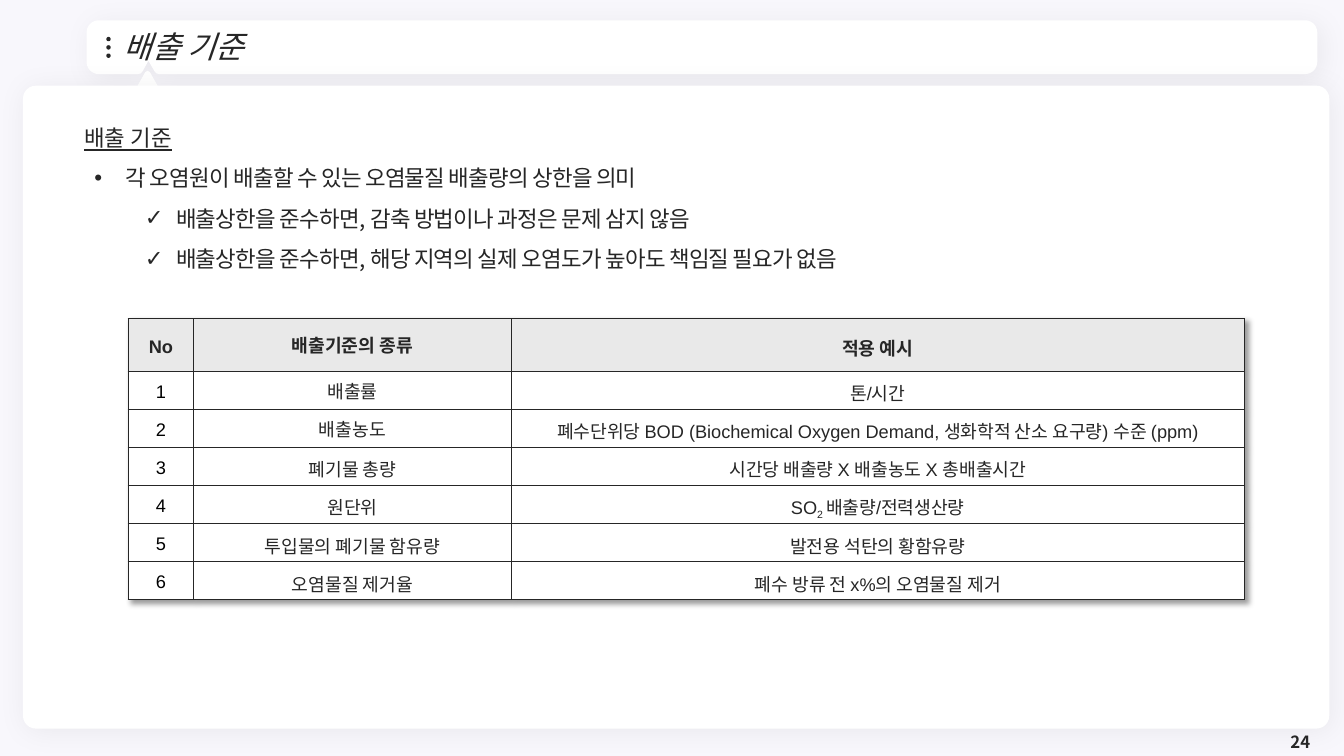
from math import cos, radians, sin

from lxml.etree import SubElement
from pptx import Presentation
from pptx.dml.color import RGBColor
from pptx.enum.shapes import MSO_SHAPE
from pptx.enum.text import MSO_ANCHOR, PP_ALIGN
from pptx.oxml.ns import qn
from pptx.util import Cm, Pt

INK = RGBColor(0x26, 0x26, 0x26)
BLACK = RGBColor(0, 0, 0)
WHITE = RGBColor(0xFF, 0xFF, 0xFF)
HEADER_GREY = RGBColor(0xE9, 0xE9, 0xE9)
BACKDROP = RGBColor(0xF8, 0xF7, 0xFC)
KOREAN = "Noto Sans CJK KR"
LATIN = "Arial"

BULLETS = [
    ("•", 0, "각 오염원이 배출할 수 있는 오염물질 배출량의 상한을 의미"),
    ("✓", 1, "배출상한을 준수하면, 감축 방법이나 과정은 문제 삼지 않음"),
    ("✓", 1, "배출상한을 준수하면, 해당 지역의 실제 오염도가 높아도 책임질 필요가 없음"),
]
# Every second piece of a tuple is set as a subscript
STANDARDS = [
    ("No", "배출기준의 종류", "적용 예시"),
    ("1", "배출률", "톤/시간"),
    ("2", "배출농도", "폐수단위당 BOD (Biochemical Oxygen Demand, 생화학적 산소 요구량) 수준 (ppm)"),
    ("3", "폐기물 총량", "시간당 배출량 X 배출농도 X 총배출시간"),
    ("4", "원단위", ("SO", "2 ", "배출량/전력생산량")),
    ("5", "투입물의 폐기물 함유량", "발전용 석탄의 황함유량"),
    ("6", "오염물질 제거율", "폐수 방류 전 x%의 오염물질 제거"),
]


def add_shadow(effects, blur, distance, opacity):
    shadow = SubElement(effects, qn("a:outerShdw"), blurRad=str(Pt(blur)),
                        dist=str(Pt(distance)), dir="2700000", algn="tl", rotWithShape="0")
    color = SubElement(shadow, qn("a:srgbClr"), val=str(BLACK))
    SubElement(color, qn("a:alpha"), val=str(opacity * 1000))


class StandardsSlide:
    def __init__(self, deck):
        self.slide = deck.slides.add_slide(deck.slide_layouts[5])
        self.shapes = self.slide.shapes
        fill = self.slide.background.fill
        fill.solid()
        fill.fore_color.rgb = BACKDROP

    def style_text(self, paragraph, size, color=INK, font=KOREAN, spacing=None, tracking=None, **flags):
        if spacing:
            paragraph.line_spacing = spacing
        paragraph.font.size = Pt(size)
        paragraph.font.color.rgb = color
        paragraph.font.name = font
        for flag, value in flags.items():
            setattr(paragraph.font, flag, value)
        properties = paragraph._p.pPr.find(qn("a:defRPr"))
        SubElement(properties, qn("a:ea"), typeface=KOREAN)
        if tracking:
            properties.set("spc", str(int(tracking * 100)))

    def paint(self, shape, color, outline=None, shadow=False):
        shape.shadow.inherit = False
        shape.fill.solid()
        shape.fill.fore_color.rgb = color
        if outline:
            shape.line.color.rgb = color
            shape.line.width = Pt(outline)
        else:
            shape.line.fill.background()
        if shadow:
            add_shadow(shape.element.spPr.find(qn("a:effectLst")), 20, 3, 5)

    def preset(self, kind, left, top, width, height, color, **look):
        shape = self.shapes.add_shape(kind, Cm(left), Cm(top), Cm(width), Cm(height))
        self.paint(shape, color, **look)
        return shape

    def title_bar(self, left, top, right, bottom, radius, notch):
        corners = [(right - radius, top + radius, 270), (right - radius, bottom - radius, 0),
                   (left + radius, bottom - radius, 90), (left + radius, top + radius, 180)]
        arcs = [[(x + radius * cos(radians(start + turn)), y + radius * sin(radians(start + turn)))
                 for turn in range(0, 91, 15)] for x, y, start in corners]
        outline = arcs[0] + arcs[1] + notch + arcs[2] + arcs[3]
        points = [(Cm(x), Cm(y)) for x, y in outline]
        builder = self.shapes.build_freeform(*points[0])
        builder.add_line_segments(points[1:], close=True)
        self.paint(builder.convert_to_shape(), WHITE, outline=7.25, shadow=True)

    def title(self, text, left, top, width, height):
        title = self.shapes.title
        title.left, title.top, title.width, title.height = Cm(left), Cm(top), Cm(width), Cm(height)
        title.text_frame.text = text
        title.text_frame.vertical_anchor = MSO_ANCHOR.MIDDLE
        paragraph = title.text_frame.paragraphs[0]
        paragraph.alignment = PP_ALIGN.LEFT
        self.style_text(paragraph, 22, spacing=0.9, italic=True)
        self.shapes.element.append(title.element)  # bring above the bar

    def text_box(self, left, top, width, height):
        frame = self.shapes.add_textbox(Cm(left), Cm(top), Cm(width), Cm(height)).text_frame
        frame.word_wrap = True
        return frame

    def page_number(self, text, *place):
        frame = self.text_box(*place)
        frame.vertical_anchor = MSO_ANCHOR.MIDDLE
        frame.text = text
        frame.paragraphs[0].alignment = PP_ALIGN.RIGHT
        self.style_text(frame.paragraphs[0], 12, bold=True)

    def bullet_list(self, heading, bullets, *place):
        frame = self.text_box(*place)
        frame.text = heading
        self.style_text(frame.paragraphs[0], 16, spacing=1.5, underline=True)
        for mark, level, text in bullets:
            item = frame.add_paragraph()
            item.text = text
            item.level = level
            properties = item._p.get_or_add_pPr()
            properties.set("marL", str(Cm(1.04 + 1.27 * level)))
            properties.set("indent", str(Cm(-0.79)))
            SubElement(properties, qn("a:buFont"), typeface=LATIN)
            SubElement(properties, qn("a:buChar"), char=mark)
            self.style_text(item, 16, spacing=1.5, tracking=-0.5)

    def cell_borders(self, cell, outer_sides):
        properties = cell._tc.get_or_add_tcPr()
        for side in "LRTB":
            width = Pt(1) if side in outer_sides else Pt(0.5)
            line = SubElement(properties, qn(f"a:ln{side}"), w=str(width))
            SubElement(SubElement(line, qn("a:solidFill")), qn("a:srgbClr"), val=str(INK))

    def table_cell(self, cell, content, outer_sides, fill, color, bold, spacing):
        self.cell_borders(cell, outer_sides)
        cell.fill.solid()
        cell.fill.fore_color.rgb = fill
        cell.vertical_anchor = MSO_ANCHOR.MIDDLE
        cell.margin_left = cell.margin_right = Cm(0.18)
        cell.margin_top = cell.margin_bottom = Cm(0.05)
        paragraph = cell.text_frame.paragraphs[0]
        paragraph.alignment = PP_ALIGN.CENTER
        pieces = (content,) if isinstance(content, str) else content
        for index, piece in enumerate(pieces):
            run = paragraph.add_run()
            run.text = piece
            if index % 2:
                run._r.get_or_add_rPr().set("baseline", "-25000")
        self.style_text(paragraph, 13, color, LATIN, spacing, bold=bold)

    def table(self, rows, left, top, widths, header_height, row_height):
        heights = [header_height] + [row_height] * (len(rows) - 1)
        table = self.shapes.add_table(len(rows), len(widths), Cm(left), Cm(top),
                                      Cm(sum(widths)), Cm(sum(heights))).table
        table.horz_banding = False
        table_properties = table._tbl.tblPr
        effects = SubElement(table_properties, qn("a:effectLst"))
        table_properties.insert(0, effects)
        add_shadow(effects, 4, 3, 40)
        for column, width in zip(table.columns, widths):
            column.width = Cm(width)
        for row, height in zip(table.rows, heights):
            row.height = Cm(height)
        last_row, last_column = len(rows) - 1, len(widths) - 1
        for r, row in enumerate(rows):
            for c, content in enumerate(row):
                outer = {"L": c == 0, "R": c == last_column, "T": r == 0, "B": r == last_row}
                self.table_cell(
                    table.cell(r, c), content, [side for side in outer if outer[side]],
                    fill=WHITE if r else HEADER_GREY,
                    color=BLACK if r and c == 0 else INK,
                    bold=r == 0,
                    spacing=1 if c == 1 and r < 3 else 1.2)


def main():
    deck = Presentation()
    deck.slide_width, deck.slide_height = Cm(33.87), Cm(19.05)
    page = StandardsSlide(deck)

    # Title bar with its three dots and pointer
    page.title_bar(2.31, 0.64, 33.07, 1.74, 0.18, notch=[(4.01, 1.74), (3.74, 1.27), (3.48, 1.74)])
    for dot in range(3):
        page.preset(MSO_SHAPE.OVAL, 2.68, 0.93 + 0.21 * dot, 0.11, 0.11, INK)
    page.preset(MSO_SHAPE.ISOSCELES_TRIANGLE, 3.43, 1.85, 0.58, 0.51, WHITE, outline=3.75)

    # Content panel
    panel = page.preset(MSO_SHAPE.ROUNDED_RECTANGLE, 0.58, 2.16, 32.92, 16.2, WHITE, shadow=True)
    panel.adjustments[0] = 0.02

    # Title, page number and explanation
    page.title("배출 기준", 2.87, 0.89, 28.98, 0.66)
    page.page_number("24", 25.65, 18.36, 7.62, 0.66)
    page.bullet_list("배출 기준", BULLETS, 1.88, 2.67, 30.63, 4.22)

    # Emission standards table
    page.table(STANDARDS, 3.23, 8.03, [1.65, 8, 18.48], header_height=1.32, row_height=0.96)

    deck.save("out.pptx")


if __name__ == "__main__":
    main()
